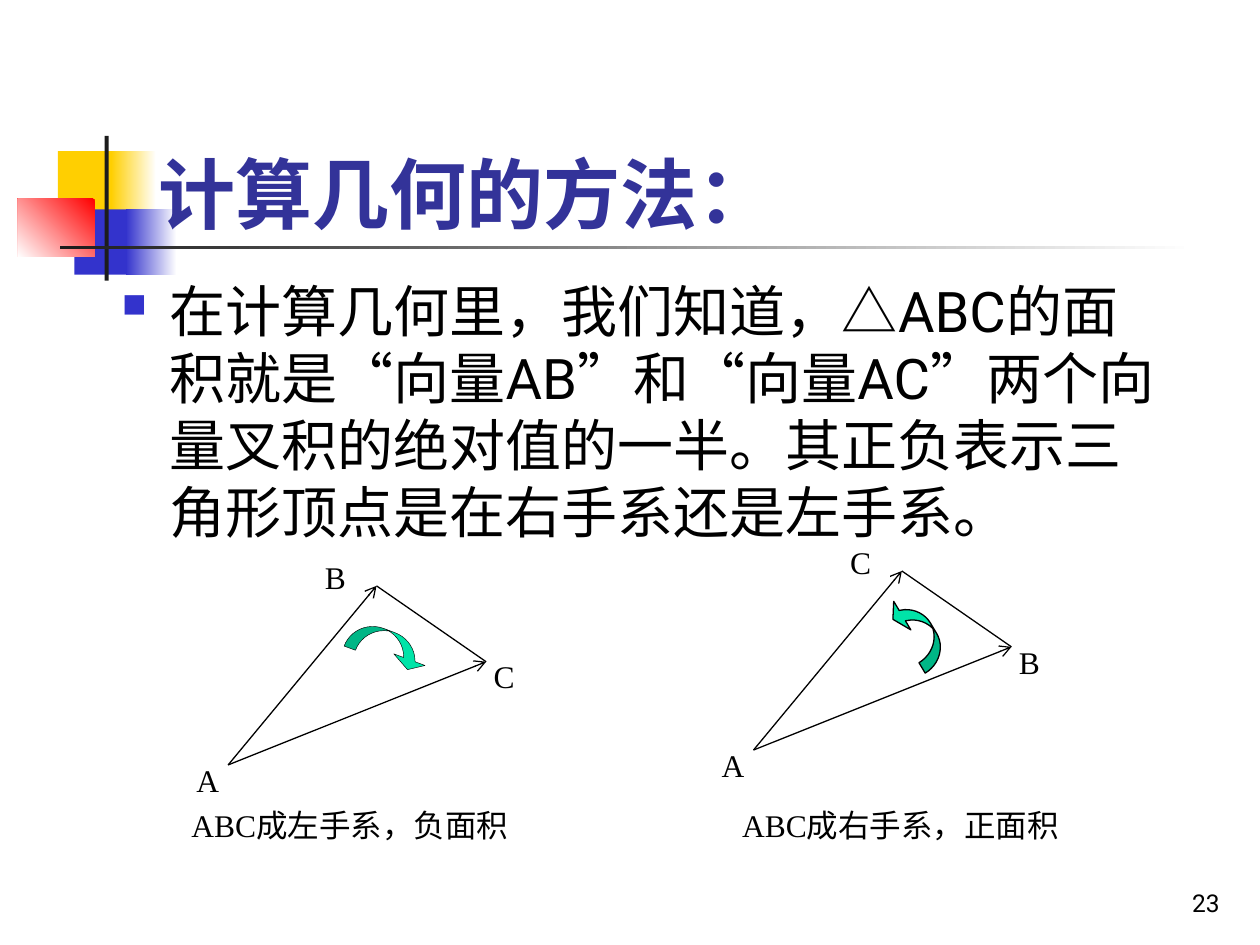
import pptx
import pptx.util
import pptx.dml.color
import pptx.enum.shapes
import pptx.enum.text
import pptx.oxml
import pptx.oxml.ns

Cm = pptx.util.Cm
Pt = pptx.util.Pt
RGB = pptx.dml.color.RGBColor.from_string
MSO = pptx.enum.shapes.MSO_SHAPE
ANCHOR = pptx.enum.text.MSO_ANCHOR
ALIGN = pptx.enum.text.PP_ALIGN
NS = pptx.oxml.ns.nsdecls("a")
COLORS = {
    "yellow": "FFCF01", "blue": "3333CC", "red": "FF0000", "white": "FFFFFF",
    "dark": "1C1C1C", "title": "333399", "black": "000000", "green": "00E4A8",
}

prs = pptx.Presentation()
prs.slide_width, prs.slide_height = Cm(25.4), Cm(19.05)
s = prs.slides.add_slide(prs.slide_layouts[6])


def add_text(text, x, y, w, h, size=18, font="Times New Roman", color="black",
             bold=False, anchor=ANCHOR.TOP, align=ALIGN.LEFT, before=0):
    tf = s.shapes.add_textbox(Cm(x), Cm(y), Cm(w), Cm(h)).text_frame
    tf.word_wrap = True
    tf.vertical_anchor = anchor
    p = tf.paragraphs[0]
    p.alignment = align
    p.space_before = Pt(before)
    r = p.add_run()
    r.text = text
    r.font.size = Pt(size)
    r.font.name = font
    r.font.bold = bold
    r.font.color.rgb = RGB(COLORS[color])
    return p


for x, y, w, h, start, end, angle in [
    (1.17, 3.05, 1.22, 1.32, "yellow", None, 0),
    (2.24, 3.05, 0.91, 1.32, "white", "yellow", 180),
    (1.5, 4.22, 1.17, 1.32, "blue", None, 0),
    (2.54, 4.22, 1.02, 1.32, "white", "blue", 180),
    (0.36, 4.01, 1.55, 1.17, "red", "white", 225),
    (2.11, 2.74, 0.08, 2.92, "dark", None, 0),
    (1.22, 4.95, 22.86, 0.08, "white", "dark", 180),
]:
    sp = s.shapes.add_shape(MSO.RECTANGLE, Cm(x), Cm(y), Cm(w), Cm(h))
    sp.shadow.inherit = False
    sp.line.fill.background()
    if end:
        sp.fill.gradient()
        sp.fill.gradient_angle = angle
        for stop, color in zip(sp.fill.gradient_stops, (start, end)):
            stop.color.rgb = RGB(COLORS[color])
    else:
        sp.fill.solid()
        sp.fill.fore_color.rgb = RGB(COLORS[start])

add_text("计算几何的方法：", 2.95, 2.51, 14.25, 2.44, size=44, font="Roboto",
         color="title", bold=True, anchor=ANCHOR.BOTTOM)
p = add_text("在计算几何里，我们知道，△ABC的面积就是“向量AB”和“向量AC”两个向量叉积的绝对值的一半。"
             "其正负表示三角形顶点是在右手系还是左手系。",
             2.21, 5.44, 21.59, 6.2, size=32, font="Roboto", before=8)
pPr = p._p.get_or_add_pPr()
pPr.set("marL", str(Cm(0.95)))
pPr.set("indent", str(-Cm(0.95)))
for xml in (f'<a:buClr {NS}><a:srgbClr val="{COLORS["blue"]}"/></a:buClr>',
            f'<a:buSzPct {NS} val="60000"/>',
            f'<a:buChar {NS} char="■"/>'):
    pPr.append(pptx.oxml.parse_xml(xml))

A, TOP, RIGHT = (4.6, 15.42), (7.59, 11.81), (9.8, 13.34)
for dx, dy, top_name, right_name, caption, caption_x, arrow in [
    (0, 0, "B", "C", "ABC成左手系，负面积", 3.61,
     (MSO.CURVED_DOWN_ARROW, 6.99, 12.73, 1.7, 20.4, 0.25)),
    (10.59, -0.3, "C", "B", "ABC成右手系，正面积", 14.71,
     (MSO.CURVED_UP_ARROW, 17.7, 12.42, 1.6, 239, 0.75)),
]:
    add_text(caption, caption_x, 16.13, 7.8, 1.02, before=11.2)
    for (x1, y1), (x2, y2), head in [(A, TOP, True), (A, RIGHT, True), (TOP, RIGHT, False)]:
        c = s.shapes.add_connector(pptx.enum.shapes.MSO_CONNECTOR.STRAIGHT,
                                   Cm(x1 + dx), Cm(y1 + dy), Cm(x2 + dx), Cm(y2 + dy))
        c.line.color.rgb = RGB(COLORS["black"])
        c.line.width = Pt(0.75)
        if head:
            c.line._get_or_add_ln().append(
                pptx.oxml.parse_xml(f'<a:tailEnd {NS} type="arrow" w="med" len="med"/>'))
        c._element.spPr.append(pptx.oxml.parse_xml(f"<a:effectLst {NS}/>"))
    for name, x, y in [(top_name, 6.3, 11.13), (right_name, 9.7, 13.13), ("A", 3.71, 15.21)]:
        add_text(name, x + dx, y + dy, 1.6, 1.02, before=11.2)
    kind, x, y, w, rotation, weight = arrow
    sp = s.shapes.add_shape(kind, Cm(x), Cm(y), Cm(w), Cm(0.61))
    sp.shadow.inherit = False
    sp.rotation = rotation
    for i, value in enumerate((0.4, 1.1, 0.33)):
        sp.adjustments[i] = value
    sp.fill.solid()
    sp.fill.fore_color.rgb = RGB(COLORS["green"])
    sp.line.color.rgb = RGB(COLORS["black"])
    sp.line.width = Pt(weight)

add_text("23", 19.56, 17.35, 5.28, 1.27, size=14, font="Roboto",
         anchor=ANCHOR.BOTTOM, align=ALIGN.RIGHT)
prs.save("out.pptx")
